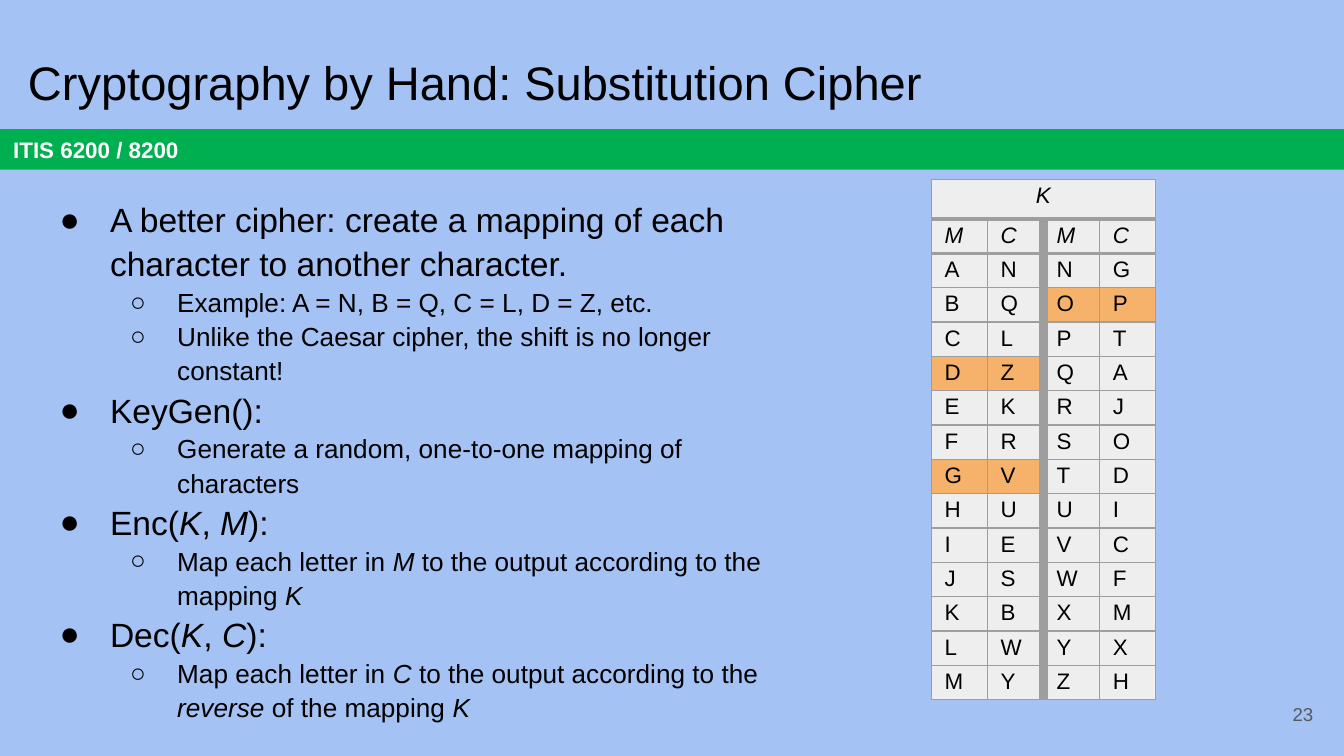
from dataclasses import dataclass

import pptx
import pptx.dml.color
import pptx.enum.shapes
import pptx.enum.text
import pptx.oxml
import pptx.oxml.ns
import pptx.util
from lxml import etree

Cm = pptx.util.Cm
Pt = pptx.util.Pt
ALIGN = pptx.enum.text.PP_ALIGN
ANCHOR = pptx.enum.text.MSO_ANCHOR
FONT = "Arial"
COLORS = {
    "sky": "A4C2F4",
    "green": "00B050",
    "white": "FFFFFF",
    "black": "000000",
    "gray": "595959",
    "cell": "EEEEEE",
    "highlight": "F6B26B",
    "border": "9E9E9E",
}


@dataclass
class Span:
    text: str
    italic: bool = False


@dataclass
class Level:
    bullet: str
    size: float
    left: float
    hanging: float


@dataclass
class Bullet:
    level: int
    spans: list[Span]


LEVELS = [Level("●", 18, 1.27, 0.95), Level("○", 14, 2.54, 0.89)]
BULLETS = [
    Bullet(0, [Span("A better cipher: create a mapping of each character to another character.")]),
    Bullet(1, [Span("Example: A = N, B = Q, C = L, D = Z, etc.")]),
    Bullet(1, [Span("Unlike the Caesar cipher, the shift is no longer constant!")]),
    Bullet(0, [Span("KeyGen():")]),
    Bullet(1, [Span("Generate a random, one-to-one mapping of characters")]),
    Bullet(0, [Span("Enc("), Span("K", True), Span(", "), Span("M", True), Span("):")]),
    Bullet(1, [Span("Map each letter in "), Span("M", True),
               Span(" to the output according to the mapping "), Span("K", True)]),
    Bullet(0, [Span("Dec("), Span("K", True), Span(", "), Span("C", True), Span("):")]),
    Bullet(1, [Span("Map each letter in "), Span("C", True),
               Span(" to the output according to the "), Span("reverse", True),
               Span(" of the mapping "), Span("K", True)]),
]
PLAIN_LETTERS = "ABCDEFGHIJKLMNOPQRSTUVWXYZ"
CIPHER_LETTERS = "NQLZKRVUESBWYGPTAJODICFMXH"
HIGHLIGHTED = "DGO"
HALF = len(PLAIN_LETTERS) // 2


def rgb(name: str) -> pptx.dml.color.RGBColor:
    """Return a named colour."""
    return pptx.dml.color.RGBColor.from_string(COLORS[name])


def add_span(para, span: Span, size: float, color: str = "black", bold: bool = False) -> None:
    """Add one formatted run to a paragraph."""
    run = para.add_run()
    run.text = span.text
    run.font.name = FONT
    run.font.size = Pt(size)
    run.font.bold = bold
    run.font.italic = span.italic
    run.font.color.rgb = rgb(color)


def prepare_frame(box, anchor=ANCHOR.TOP):
    """Set the wrapping, insets and anchor of a box and return its frame."""
    frame = box.text_frame
    frame.word_wrap = True
    frame.vertical_anchor = anchor
    frame.margin_left = frame.margin_right = Cm(0.25)
    frame.margin_top = frame.margin_bottom = Cm(0.25)
    return frame


def add_box(page, left: float, top: float, width: float, height: float, anchor=ANCHOR.TOP):
    """Add an empty text box and return its frame."""
    box = page.shapes.add_textbox(Cm(left), Cm(top), Cm(width), Cm(height))
    return prepare_frame(box, anchor)


def add_banner(page, width: int) -> None:
    """Draw the course banner across the page."""
    banner = page.shapes.add_shape(
        pptx.enum.shapes.MSO_SHAPE.RECTANGLE, 0, Cm(2.44), width, Cm(0.77))
    banner.shadow.inherit = False
    banner.fill.solid()
    banner.fill.fore_color.rgb = rgb("green")
    banner.line.fill.background()
    para = prepare_frame(banner, ANCHOR.MIDDLE).paragraphs[0]
    para.alignment = ALIGN.LEFT
    add_span(para, Span("ITIS 6200 / 8200"), 12, "white", True)


def add_bullet(para, bullet: Bullet) -> None:
    """Fill a paragraph as a bulleted item."""
    level = LEVELS[bullet.level]
    para.level = bullet.level
    props = para._p.get_or_add_pPr()
    props.set("marL", str(Cm(level.left)))
    props.set("indent", str(-Cm(level.hanging)))
    tint = etree.SubElement(props, pptx.oxml.ns.qn("a:buClr"))
    etree.SubElement(tint, pptx.oxml.ns.qn("a:srgbClr"), val=COLORS["black"])
    etree.SubElement(props, pptx.oxml.ns.qn("a:buFont"), typeface=FONT)
    etree.SubElement(props, pptx.oxml.ns.qn("a:buChar"), char=level.bullet)
    para.line_spacing = 1.09
    for span in bullet.spans:
        add_span(para, span, level.size)


def border_widths(row: int, column: int) -> dict[str, float]:
    """Return the border widths of a table cell by side."""
    return {
        "L": 6 if row > 0 and column == 2 else 0.75,
        "R": 6 if row > 0 and column == 1 else 0.75,
        "T": 2.25 if row in (1, 2) else 0.75,
        "B": 2.25 if row in (0, 1) else 0.75,
    }


def style_cell(cell, row: int, column: int, fill: str) -> None:
    """Set the borders, insets and fill of a table cell."""
    props = cell._tc.get_or_add_tcPr()
    for side, width in border_widths(row, column).items():
        line = etree.SubElement(props, pptx.oxml.ns.qn(f"a:ln{side}"), w=str(Pt(width)))
        solid = etree.SubElement(line, pptx.oxml.ns.qn("a:solidFill"))
        etree.SubElement(solid, pptx.oxml.ns.qn("a:srgbClr"), val=COLORS["border"])
    cell.margin_left = cell.margin_right = Cm(0.25)
    cell.margin_top = cell.margin_bottom = Cm(0.07)
    cell.fill.solid()
    cell.fill.fore_color.rgb = rgb(fill)


def add_key_table(page) -> None:
    """Draw the substitution key as two pairs of columns."""
    pairs = list(zip(PLAIN_LETTERS, CIPHER_LETTERS))
    rows = [("K", "", "", ""), ("M", "C", "M", "C")]
    rows += [left + right for left, right in zip(pairs[:HALF], pairs[HALF:])]
    heights = [0.74] + [0.63] * (len(rows) - 1)
    table = page.shapes.add_table(
        len(rows), 4, Cm(17.6), Cm(3.4), Cm(4.24), Cm(sum(heights))).table
    table.first_row = table.horz_banding = False
    for column in table.columns:
        column.width = Cm(1.06)
    for row, (letters, height) in enumerate(zip(rows, heights)):
        table.rows[row].height = Cm(height)
        for column, letter in enumerate(letters):
            cell = table.cell(row, column)
            plain = letters[column // 2 * 2]
            marked = row > 1 and plain in HIGHLIGHTED
            style_cell(cell, row, column, "highlight" if marked else "cell")
            if letter:
                add_span(cell.text_frame.paragraphs[0], Span(letter, row < 2), 12)
    table.cell(0, 0).merge(table.cell(0, 3))
    table.cell(0, 0).text_frame.paragraphs[0].alignment = ALIGN.CENTER


def main() -> None:
    """Build the substitution cipher slide."""
    deck = pptx.Presentation()
    deck.slide_width, deck.slide_height = Cm(25.4), Cm(14.29)
    page = deck.slides.add_slide(deck.slide_layouts[6])
    page.background.fill.solid()
    page.background.fill.fore_color.rgb = rgb("sky")
    add_banner(page, deck.slide_width)
    title = add_box(page, 0.28, 0.76, 23.67, 1.6)
    add_span(title.paragraphs[0], Span("Cryptography by Hand: Substitution Cipher"), 25.2)
    body = add_box(page, 0.56, 3.45, 14.27, 10.46)
    for index, bullet in enumerate(BULLETS):
        add_bullet(body.add_paragraph() if index else body.paragraphs[0], bullet)
    number = add_box(page, 23.55, 12.95, 1.52, 1.09, ANCHOR.MIDDLE).paragraphs[0]
    number.alignment = ALIGN.RIGHT
    add_span(number, Span("23"), 10, "gray")
    add_key_table(page)
    deck.save("out.pptx")


if __name__ == "__main__":
    main()
